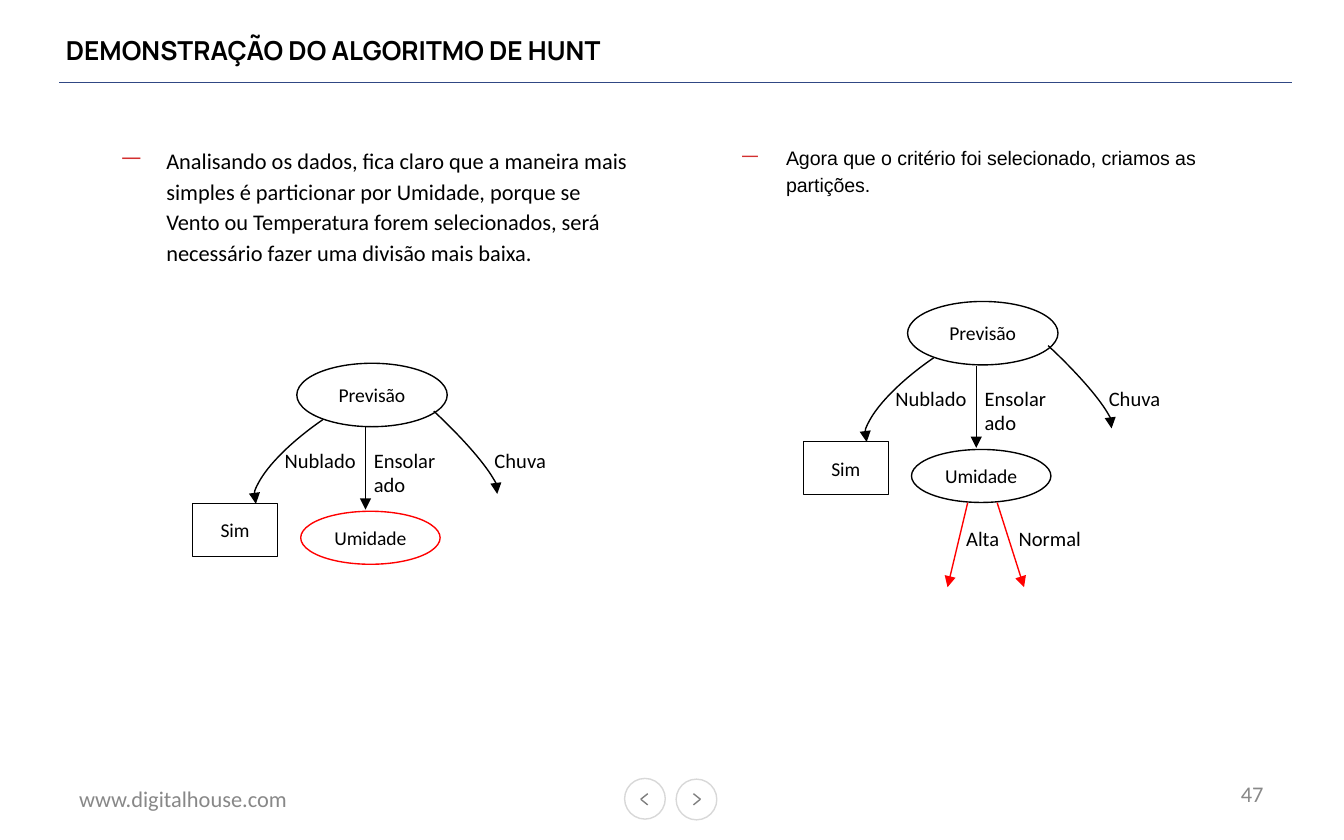
from lxml.etree import SubElement
from pptx import Presentation
from pptx.dml.color import RGBColor
from pptx.enum.shapes import MSO_CONNECTOR, MSO_SHAPE
from pptx.enum.text import MSO_ANCHOR, MSO_AUTO_SIZE, PP_ALIGN
from pptx.oxml.ns import qn
from pptx.util import Pt

BLACK = RGBColor(0, 0, 0)
WHITE = RGBColor(255, 255, 255)
RED = RGBColor(255, 0, 0)
DASH_RED = RGBColor(0xD3, 0x2F, 0x2F)
NAVY = RGBColor(0x30, 0x48, 0x84)
FOOTER_GRAY = RGBColor(0x88, 0x88, 0x88)
RING_GRAY = RGBColor(0xD8, 0xD8, 0xD8)
CHEVRON_GRAY = RGBColor(0x7F, 0x7F, 0x7F)

TITLE = "DEMONSTRAÇÃO DO ALGORITMO DE HUNT"
BULLETS = [
    ("Analisando os dados, fica claro que a maneira mais simples é particionar por "
     "Umidade, porque se Vento ou Temperatura forem selecionados, será necessário "
     "fazer uma divisão mais baixa.", (46, 72.9, 325.5, 95), "Calibri", 12),
    ("Agora que o critério foi selecionado, criamos as partições.",
     (378, 72.7, 325.5, 67), "Arial", 10.5),
]
BULLET_RIGHT_INSET = 33
FOOTERS = [
    ("www.digitalhouse.com", (35.3, 417.3, 167.8, 21.6), PP_ALIGN.LEFT),
    ("47", (516.2, 413.3, 167.8, 23.8), PP_ALIGN.RIGHT),
]
BUTTONS = [((334.6, 417), (343.3, 428.2), 3.7), ((362.2, 417.4), (375.2, 428.2), -3.7)]
BUTTON_SIZE = 21.8

NODES = {
    "Previsão": (MSO_SHAPE.OVAL, (159, 194.6, 80.6, 34)),
    "Sim": (MSO_SHAPE.RECTANGLE, (103.1, 269.8, 45.6, 28.4)),
    "Umidade": (MSO_SHAPE.OVAL, (161.1, 273.9, 74.7, 28.4)),
}
BRANCH_LABELS = [
    ("Nublado", (145.4, 236.2, 52.6, 20.9), False),
    ("Ensolarado", (193.2, 236.2, 50.4, 20.9), True),
]
RAIN_LABEL = ("Chuva", (257.8, 236.2, 42.5, 20.9), False)
SUNNY_ARROW = ((195.8, 229), (195.8, 273))
CLOUDY_ARC = ((165.6, 183.6, 33.8, 110.2), 235.5, False)
RAIN_ARC = ((216.7, 172, 18.7, 110.2), 132.9, True)
TREES = [
    {"offset": (0, 0), "rain_shift": (0, 0), "humidity_color": RED},
    {"offset": (327.2, -33.1), "rain_shift": (1.9, -2), "humidity_color": BLACK},
]
HUMIDITY_LABELS = [("Alta", (510.5, 278.2, 32.4, 20.9), False),
                   ("Normal", (538.6, 278.2, 48.2, 20.9), False)]
HUMIDITY_ARROWS = [((534.2, 269.3), (548.6, 314.6)), ((518.4, 269.3), (507.6, 314.6))]


def points(values):
    return [Pt(value) for value in values]


def moved(box, across, down):
    return (box[0] + across, box[1] + down, *box[2:])


def write(shape, text, font="Calibri", size=12, color=BLACK, bold=False,
          align=PP_ALIGN.LEFT, anchor=MSO_ANCHOR.TOP, wrap=True,
          insets=(7.2, 3.6), bullet=False):
    frame = shape.text_frame
    frame.auto_size = MSO_AUTO_SIZE.NONE
    frame.word_wrap = wrap
    frame.vertical_anchor = anchor
    frame.margin_left = frame.margin_right = Pt(insets[0])
    frame.margin_top = frame.margin_bottom = Pt(insets[1])
    paragraph = frame.paragraphs[0]
    paragraph.alignment = align
    if bullet:
        frame.margin_right = Pt(BULLET_RIGHT_INSET)
        properties = paragraph._p.get_or_add_pPr()
        properties.set("marL", str(Pt(36)))
        properties.set("indent", str(Pt(-24)))
        color_element = SubElement(properties, qn("a:buClr"))
        SubElement(color_element, qn("a:srgbClr")).set("val", str(DASH_RED))
        SubElement(properties, qn("a:buFont")).set("typeface", font)
        SubElement(properties, qn("a:buChar")).set("char", "ㅡ")
        paragraph.line_spacing = 1.15
    run = paragraph.add_run()
    run.text = text
    run.font.name = font
    run.font.size = Pt(size)
    run.font.bold = bold
    run.font.color.rgb = color


def add_text(slide, text, box, **style):
    write(slide.shapes.add_textbox(*points(box)), text, **style)


def add_arrowhead(shape, end):
    outline = shape.element.spPr.find(qn("a:ln"))
    SubElement(outline, qn(end)).set("type", "triangle")


def add_outline(slide, kind, box, color=BLACK, fill=None):
    shape = slide.shapes.add_shape(kind, *points(box))
    shape.shadow.inherit = False
    if fill is None:
        shape.fill.background()
    else:
        shape.fill.solid()
        shape.fill.fore_color.rgb = fill
    shape.line.color.rgb = color
    shape.line.width = Pt(0.75)
    return shape


def add_line(slide, start, end, color=BLACK, arrow=False):
    line = slide.shapes.add_connector(MSO_CONNECTOR.STRAIGHT, *points(start + end))
    line.line.color.rgb = color
    line.line.width = Pt(0.75)
    SubElement(line.element.spPr, qn("a:effectLst"))
    if arrow:
        add_arrowhead(line, "a:tailEnd")


def add_arc(slide, box, rotation, flipped):
    arc = add_outline(slide, MSO_SHAPE.ARC, box)
    arc.rotation = rotation
    if flipped:
        arc.element.spPr.find(qn("a:xfrm")).set("flipH", "1")
    add_arrowhead(arc, "a:headEnd")


def add_label(slide, text, box, wrap):
    add_text(slide, text, box, size=11, wrap=wrap)


def add_tree(slide, offset, rain_shift, humidity_color):
    for name, (kind, box) in NODES.items():
        color = humidity_color if name == "Umidade" else BLACK
        node = add_outline(slide, kind, moved(box, *offset), color)
        write(node, name, size=10.5, align=PP_ALIGN.CENTER,
              anchor=MSO_ANCHOR.MIDDLE, insets=(0, 0))
    for text, box, wrap in [*BRANCH_LABELS, RAIN_LABEL]:
        shift = rain_shift[0] if text == RAIN_LABEL[0] else 0
        add_label(slide, text, moved(moved(box, *offset), shift, 0), wrap)
    add_line(slide, *[moved(point, *offset) for point in SUNNY_ARROW], arrow=True)
    for (box, rotation, flipped), shift in [(CLOUDY_ARC, (0, 0)), (RAIN_ARC, rain_shift)]:
        add_arc(slide, moved(moved(box, *offset), *shift), rotation, flipped)


def main():
    presentation = Presentation()
    presentation.slide_width, presentation.slide_height = Pt(720), Pt(450)
    slide = presentation.slides.add_slide(presentation.slide_layouts[5])

    title = slide.shapes.title
    title.left, title.top, title.width, title.height = points((35.3, 11.5, 480, 31))
    write(title, TITLE, font="Manrope", size=14, bold=True,
          anchor=MSO_ANCHOR.MIDDLE, insets=(0, 0))
    add_line(slide, (31.7, 44.2), (692, 44.2), NAVY)

    for text, box, align in FOOTERS:
        add_text(slide, text, box, color=FOOTER_GRAY, align=align,
                 anchor=MSO_ANCHOR.MIDDLE)
    for corner, tip, reach in BUTTONS:
        add_outline(slide, MSO_SHAPE.OVAL, (*corner, BUTTON_SIZE, BUTTON_SIZE),
                    RING_GRAY, WHITE)
        for rise in (-3, 3):
            add_line(slide, tip, moved(tip, reach, rise), CHEVRON_GRAY)

    for text, box, font, size in BULLETS:
        add_text(slide, text, box, font=font, size=size, bullet=True)
    for tree in TREES:
        add_tree(slide, **tree)
    for label in HUMIDITY_LABELS:
        add_label(slide, *label)
    for start, end in HUMIDITY_ARROWS:
        add_line(slide, start, end, RED, arrow=True)

    presentation.save("out.pptx")


if __name__ == "__main__":
    main()
